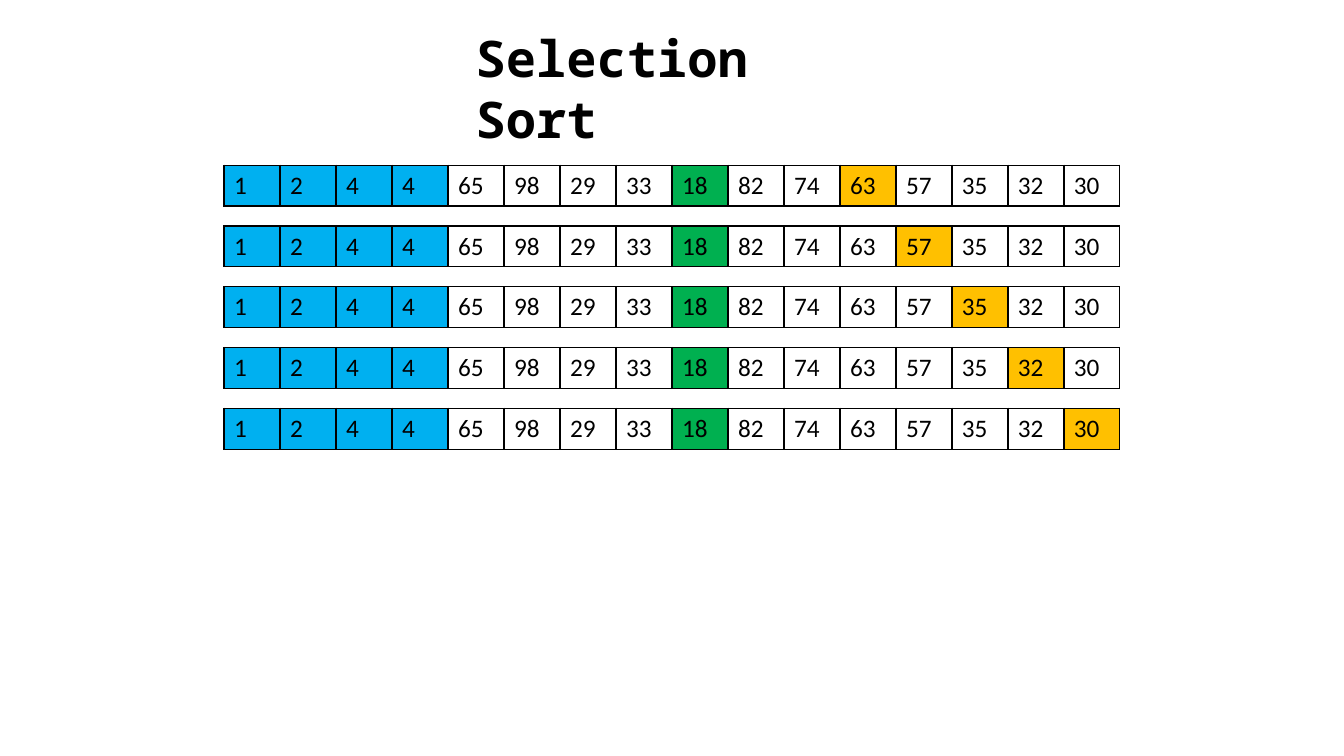
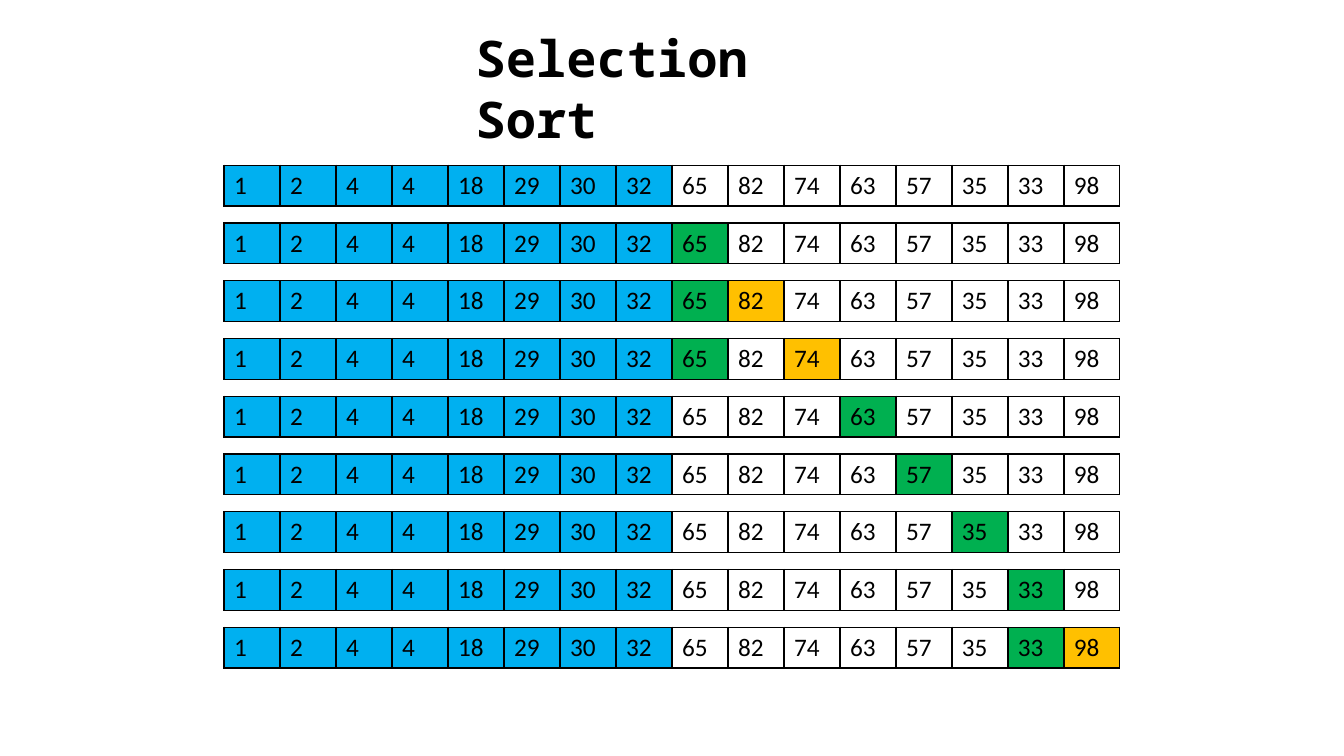
from lxml import etree
from pptx import Presentation
from pptx.dml.color import RGBColor
from pptx.enum import text
from pptx.oxml import ns
from pptx.util import Pt

BLACK, WHITE = "000000", "FFFFFF"
SORTED, LEAST, SCAN = "00B0F0", "00B050", "FFC000"
LEFT, TOP = 160, 118
CELL, HIGH = 40, 29.2

# Each step is (index of the least value, index being scanned).
SLIDES = [
    dict(values=[1, 2, 4, 4, 65, 98, 29, 33, 18, 82, 74, 63, 57, 35, 32, 30],
         done=4, pitch=43.4,
         steps=[(8, scan) for scan in range(11, 16)]),
    dict(values=[1, 2, 4, 4, 18, 29, 30, 32, 65, 82, 74, 63, 57, 35, 33, 98],
         done=8, pitch=41.25,
         steps=[(None, None), (8, None), (8, 9), (8, 10), (11, None),
                (12, None), (13, None), (14, None), (14, 15)]),
]


def rgb(code):
    return RGBColor.from_string(code)


def style(para, name, size, bold=False):
    for run in para.runs:
        run.font.name = name
        run.font.size = Pt(size)
        run.font.bold = bold
        run.font.color.rgb = rgb(BLACK)


def add_title(slide, words):
    title = slide.shapes.title
    title.left, title.top = Pt(332.6), Pt(15.8)
    title.width, title.height = Pt(294.5), Pt(50.9)
    frame = title.text_frame
    frame.text = words
    frame.word_wrap = True
    frame.auto_size = text.MSO_AUTO_SIZE.SHAPE_TO_FIT_TEXT
    frame.vertical_anchor = text.MSO_ANCHOR.TOP
    para = frame.paragraphs[0]
    para.alignment = text.PP_ALIGN.LEFT
    style(para, "Noto Sans Mono", 36, True)


def add_border(cell):
    props = cell._tc.get_or_add_tcPr()
    for side in ("lnL", "lnR", "lnT", "lnB"):
        line = etree.SubElement(props, ns.qn(f"a:{side}"), w=str(Pt(1)))
        fill = etree.SubElement(line, ns.qn("a:solidFill"))
        etree.SubElement(fill, ns.qn("a:srgbClr"), val=BLACK)


def pick_fill(index, done, least, scan):
    if index < done:
        return SORTED
    return {least: LEAST, scan: SCAN}.get(index, WHITE)


def add_array(slide, top, values, fills):
    """Draw one state of the array as a single-row table."""
    count = len(values)
    table = slide.shapes.add_table(
        1, count, Pt(LEFT), Pt(top), Pt(CELL * count), Pt(HIGH)).table
    table.first_row = table.horz_banding = False
    for cell, value, fill in zip(table.iter_cells(), values, fills):
        cell.text_frame.text = str(value)
        style(cell.text_frame.paragraphs[0], "Calibri", 18)
        add_border(cell)
        cell.fill.solid()
        cell.fill.fore_color.rgb = rgb(fill)


def add_steps(slide, values, done, pitch, steps):
    for row, (least, scan) in enumerate(steps):
        fills = [pick_fill(i, done, least, scan) for i in range(len(values))]
        add_array(slide, TOP + row * pitch, values, fills)


def main():
    deck = Presentation()
    deck.slide_width, deck.slide_height = Pt(960), Pt(540)
    for data in SLIDES:
        slide = deck.slides.add_slide(deck.slide_layouts[5])
        add_title(slide, "Selection Sort")
        add_steps(slide, **data)
    deck.save("out.pptx")


if __name__ == "__main__":
    main()
